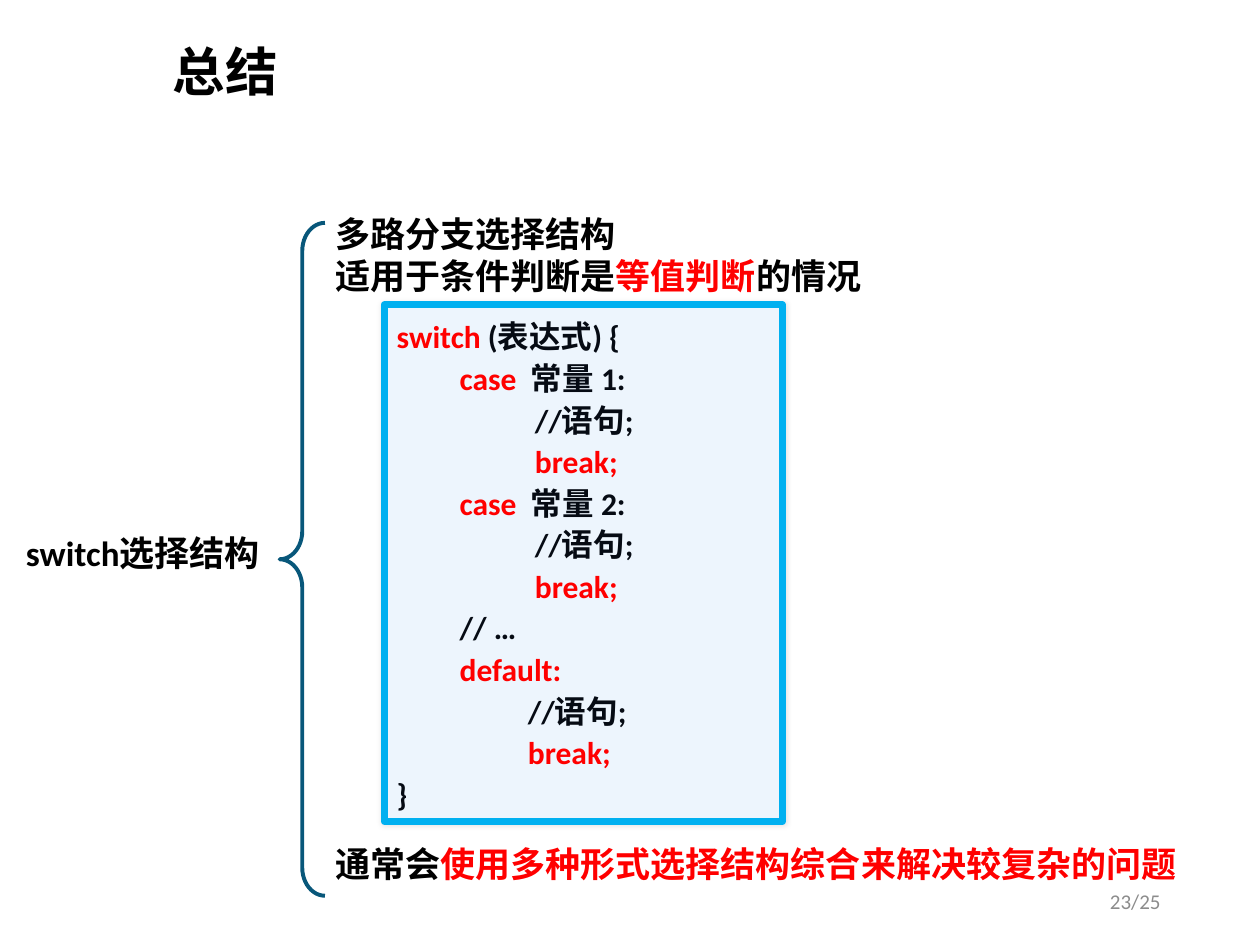
from dataclasses import dataclass

import pptx
import pptx.dml.color
import pptx.enum.shapes
import pptx.enum.text
import pptx.oxml
import pptx.oxml.ns
import pptx.util

Pt = pptx.util.Pt
RGB = pptx.dml.color.RGBColor
Shape = pptx.enum.shapes.MSO_SHAPE
Align = pptx.enum.text.PP_ALIGN
Anchor = pptx.enum.text.MSO_ANCHOR

BLACK = RGB(0x00, 0x00, 0x00)
RED = RGB(0xFF, 0x00, 0x00)
INK = RGB(0x06, 0x0B, 0x14)
GRAY = RGB(0x8C, 0x8C, 0x8C)
TEAL = RGB(0x08, 0x57, 0x7A)
CYAN = RGB(0x00, 0xB0, 0xF0)
PALE = RGB(0xED, 0xF5, 0xFD)

LATIN = "Calibri"
HAN = "Noto Sans CJK SC"


@dataclass
class Box:
    left: float
    top: float
    width: float
    height: float

    def args(self) -> list:
        return [Pt(v) for v in (self.left, self.top, self.width, self.height)]


@dataclass
class Span:
    text: str
    color: RGB = BLACK


@dataclass
class Line:
    spans: list[Span]
    indent: float = 0
    before: float = 0


@dataclass
class Style:
    size: float
    bold: bool = True
    font: str = LATIN
    align: Align = Align.LEFT
    anchor: Anchor = Anchor.TOP
    pitch: float = 1.0


def place(shape, box: Box) -> None:
    shape.left, shape.top, shape.width, shape.height = box.args()


def write(shape, lines: list[Line], style: Style) -> None:
    frame = shape.text_frame
    frame.word_wrap = True
    frame.auto_size = pptx.enum.text.MSO_AUTO_SIZE.NONE
    frame.vertical_anchor = style.anchor
    for i, line in enumerate(lines):
        para = frame.paragraphs[0] if i == 0 else frame.add_paragraph()
        para.alignment = style.align
        para.line_spacing = style.pitch
        para.space_before = Pt(line.before)
        props = para._p.get_or_add_pPr()
        props.set("marL", str(Pt(line.indent)))
        props.set("indent", "0")
        pptx.oxml.ns.qn("a:buNone")
        props.append(element("<a:buNone {ns}/>"))
        for span in line.spans:
            run = para.add_run()
            run.text = span.text
            font = run.font
            font.size, font.bold, font.name = Pt(style.size), style.bold, style.font
            font.color.rgb = span.color
            font._element.append(element(f'<a:ea {{ns}} typeface="{HAN}"/>'))


def element(xml: str):
    return pptx.oxml.parse_xml(xml.format(ns=pptx.oxml.ns.nsdecls("a")))


def label(slide, box: Box, span: Span, style: Style) -> None:
    write(slide.shapes.add_textbox(*box.args()), [Line([span])], style)


def brace(slide, box: Box) -> None:
    shape = slide.shapes.add_shape(Shape.LEFT_BRACE, *box.args())
    shape.shadow.inherit = False
    shape.adjustments[0] = 0.62
    shape.fill.background()
    shape.line.color.rgb = TEAL
    shape.line.width = Pt(2.25)


def panel(slide, box: Box, lines: list[Line], style: Style) -> None:
    """Draw the framed code box with its soft shadow."""
    shape = slide.shapes.add_shape(Shape.ROUNDED_RECTANGLE, *box.args())
    shape.adjustments[0] = 0
    shape.fill.solid()
    shape.fill.fore_color.rgb = PALE
    shape.line.color.rgb = CYAN
    shape.line.width = Pt(4)
    shape.shadow.inherit = False
    glow = shape._element.spPr.find(pptx.oxml.ns.qn("a:effectLst"))
    glow.append(element(
        f'<a:outerShdw {{ns}} blurRad="{Pt(3)}" dist="0" dir="0">'
        '<a:srgbClr val="000000"><a:alpha val="10000"/></a:srgbClr></a:outerShdw>'))
    write(shape, lines, style)


def branch(head: list[Span], inset: float) -> list[Line]:
    """Give a case head, its statement and its break."""
    return [Line(head, 36), Line([Span("//语句;", INK)], inset),
            Line([Span("break;", RED)], inset)]


def case(value: int) -> list[Line]:
    return branch([Span("case ", RED), Span(f" 常量 {value}:", INK)], 79)


POINTS = [
    Line([Span("多路分支选择结构")]),
    Line([Span("适用于条件判断是"), Span("等值判断", RED), Span("的情况")]),
    Line([Span("通常会"), Span("使用多种形式选择结构综合来解决较复杂的问题", RED)], before=312),
]
CODE = [
    Line([Span("switch", RED), Span(" (表达式) {", INK)]),
    *case(1),
    *case(2),
    Line([Span("// …", INK)], 36),
    *branch([Span("default:", RED)], 75),
    Line([Span("}", INK)]),
]


def main() -> None:
    deck = pptx.Presentation()
    deck.slide_width, deck.slide_height = Pt(720), Pt(540)
    slide = deck.slides.add_slide(deck.slide_layouts[1])

    title, body = slide.placeholders
    place(title, Box(91.5, 22.3, 614, 41))
    write(title, [Line([Span("总结")])],
          Style(30, font=HAN, anchor=Anchor.MIDDLE, pitch=0.9))
    place(body, Box(184.3, 118, 513.4, 395.3))
    write(body, POINTS, Style(20))

    label(slide, Box(0, 300.2, 163.4, 31.7), Span("switch选择结构"),
          Style(20, align=Align.CENTER))
    brace(slide, Box(159.8, 127.4, 25.9, 384.5))
    panel(slide, Box(219.6, 174.2, 227.5, 295.2), CODE,
          Style(18, anchor=Anchor.MIDDLE, pitch=1.1))
    label(slide, Box(508.3, 500.4, 162, 28.8), Span("23/25", GRAY),
          Style(12, bold=False, align=Align.RIGHT, anchor=Anchor.MIDDLE))
    deck.save("out.pptx")


if __name__ == "__main__":
    main()
